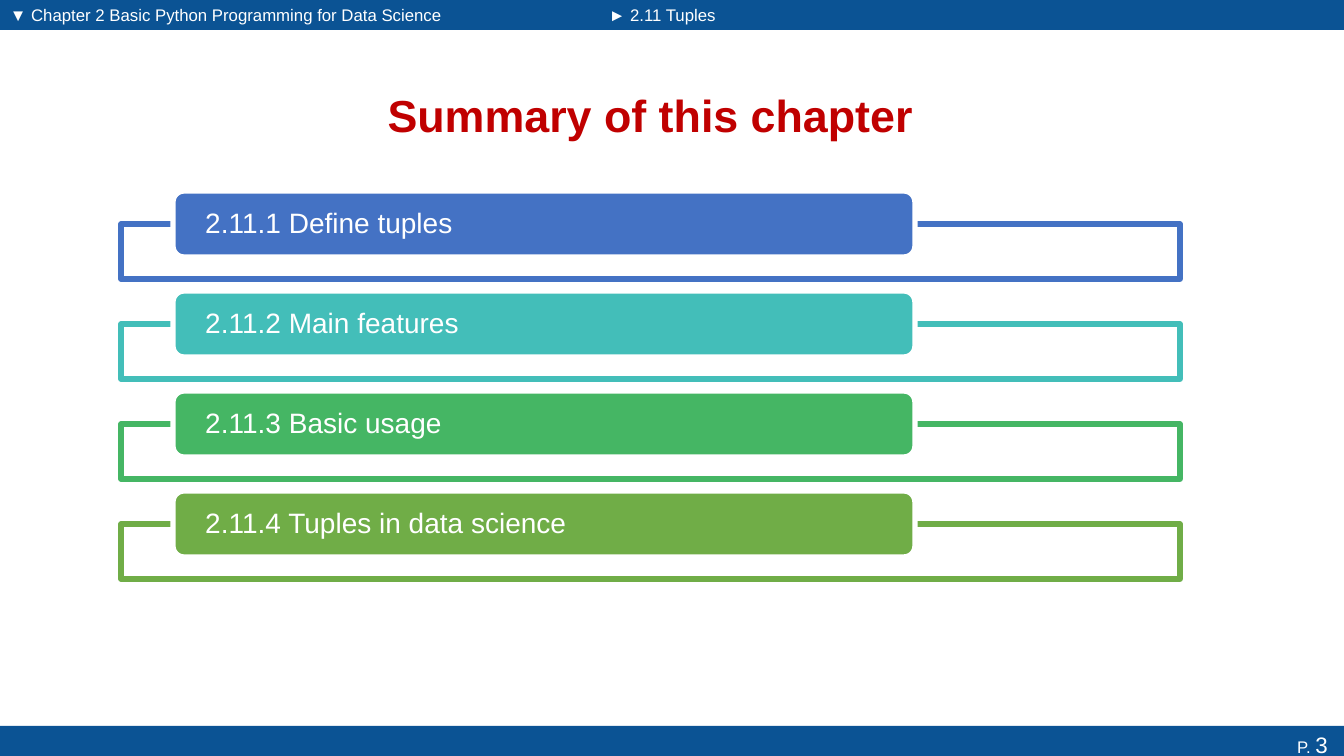
from dataclasses import dataclass

from pptx import Presentation
from pptx import util as u
from pptx.dml.color import RGBColor
from pptx.enum import shapes, text

PX = 914400 / 100.8  # EMU per px


@dataclass(frozen=True)
class Theme:
    font: str = "Arial"
    bar: str = "0B5394"
    title: str = "C00000"
    white: str = "FFFFFF"
    title_pt: int = 32
    topic_pt: int = 20
    page_pt: int = 16
    small_pt: int = 12
    line_pt: float = 3.78


@dataclass(frozen=True)
class Box:
    x: int
    y: int
    w: int
    h: int

    def emu(self) -> tuple[int, ...]:
        return tuple(px(n) for n in (self.x, self.y, self.w, self.h))


@dataclass(frozen=True)
class Topic:
    label: str
    color: str


@dataclass(frozen=True)
class Crumb:
    label: str
    box: Box


THEME = Theme()
RECT = shapes.MSO_SHAPE.RECTANGLE
ROUNDED = shapes.MSO_SHAPE.ROUNDED_RECTANGLE

TITLE = Box(253, 69, 795, 91)
TOP_BARS = [Box(0, 0, 598, 30), Box(598, 0, 746, 30)]
FOOTER = Box(0, 726, 1344, 37)
CRUMBS = [
    Crumb("▼ Chapter 2 Basic Python Programming for Data Science", Box(0, 0, 487, 29)),
    Crumb("► 2.11 Tuples", Box(599, 0, 259, 29)),
]
TOPICS = [
    Topic("2.11.1 Define tuples", "4472C4"),
    Topic("2.11.2 Main features", "43BEB9"),
    Topic("2.11.3 Basic usage", "45B664"),
    Topic("2.11.4 Tuples in data science", "70AD47"),
]
FIRST_TOPIC_Y, TOPIC_PITCH = 191, 100


def px(n: float) -> int:
    return round(n * PX)


def set_font(font, size: int, color: str, bold: bool = False) -> None:
    font.name, font.size, font.bold = THEME.font, u.Pt(size), bold
    font.color.rgb = RGBColor.from_string(color)


def add_block(s, kind, box: Box, fill: str, line: str | None = None):
    sp = s.shapes.add_shape(kind, *box.emu())
    sp.shadow.inherit = False
    sp.fill.solid()
    sp.fill.fore_color.rgb = RGBColor.from_string(fill)
    if line:
        sp.line.color.rgb = RGBColor.from_string(line)
        sp.line.width = u.Pt(THEME.line_pt)
    else:
        sp.line.fill.background()
    return sp


def add_title(s, label: str) -> None:
    sp = s.shapes.title
    sp.left, sp.top, sp.width, sp.height = TITLE.emu()
    tf = sp.text_frame
    tf.text = label
    tf.auto_size = text.MSO_AUTO_SIZE.NONE
    tf.vertical_anchor = text.MSO_ANCHOR.MIDDLE
    p = tf.paragraphs[0]
    p.alignment = text.PP_ALIGN.CENTER
    set_font(p.font, THEME.title_pt, THEME.title, bold=True)


def add_crumb(s, crumb: Crumb) -> None:
    tf = s.shapes.add_textbox(*crumb.box.emu()).text_frame
    tf.word_wrap = True
    tf.text = crumb.label
    set_font(tf.paragraphs[0].font, THEME.small_pt, THEME.white)


def add_footer(s, page: str) -> None:
    tf = add_block(s, RECT, FOOTER, THEME.bar).text_frame
    tf.vertical_anchor = text.MSO_ANCHOR.TOP
    p = tf.paragraphs[0]
    p.alignment = text.PP_ALIGN.RIGHT
    for part, size in (("P. ", THEME.small_pt), (page, THEME.page_pt)):
        r = p.add_run()
        r.text = part
        set_font(r.font, size, THEME.white)


def add_topic(s, topic: Topic, y: int) -> None:
    add_block(s, RECT, Box(121, y + 33, 1059, 55), THEME.white, topic.color)
    tab = add_block(s, ROUNDED, Box(173, y, 742, 66), topic.color, THEME.white)
    tf = tab.text_frame
    tf.margin_left = tf.margin_right = px(29)
    tf.margin_top = tf.margin_bottom = 0
    tf.vertical_anchor = text.MSO_ANCHOR.MIDDLE
    tf.text = topic.label
    p = tf.paragraphs[0]
    p.alignment = text.PP_ALIGN.LEFT
    p.line_spacing = 0.9
    set_font(p.font, THEME.topic_pt, THEME.white)


def main() -> None:
    prs = Presentation()
    prs.slide_width, prs.slide_height = px(1344), px(756)
    s = prs.slides.add_slide(prs.slide_layouts[5])

    # Header and footer bars
    for bar in TOP_BARS:
        add_block(s, RECT, bar, THEME.bar)
    add_footer(s, "3 ")
    for crumb in CRUMBS:
        add_crumb(s, crumb)

    # Title and topic list
    add_title(s, "Summary of this chapter")
    for i, topic in enumerate(TOPICS):
        add_topic(s, topic, FIRST_TOPIC_Y + i * TOPIC_PITCH)

    prs.save("out.pptx")


if __name__ == "__main__":
    main()
